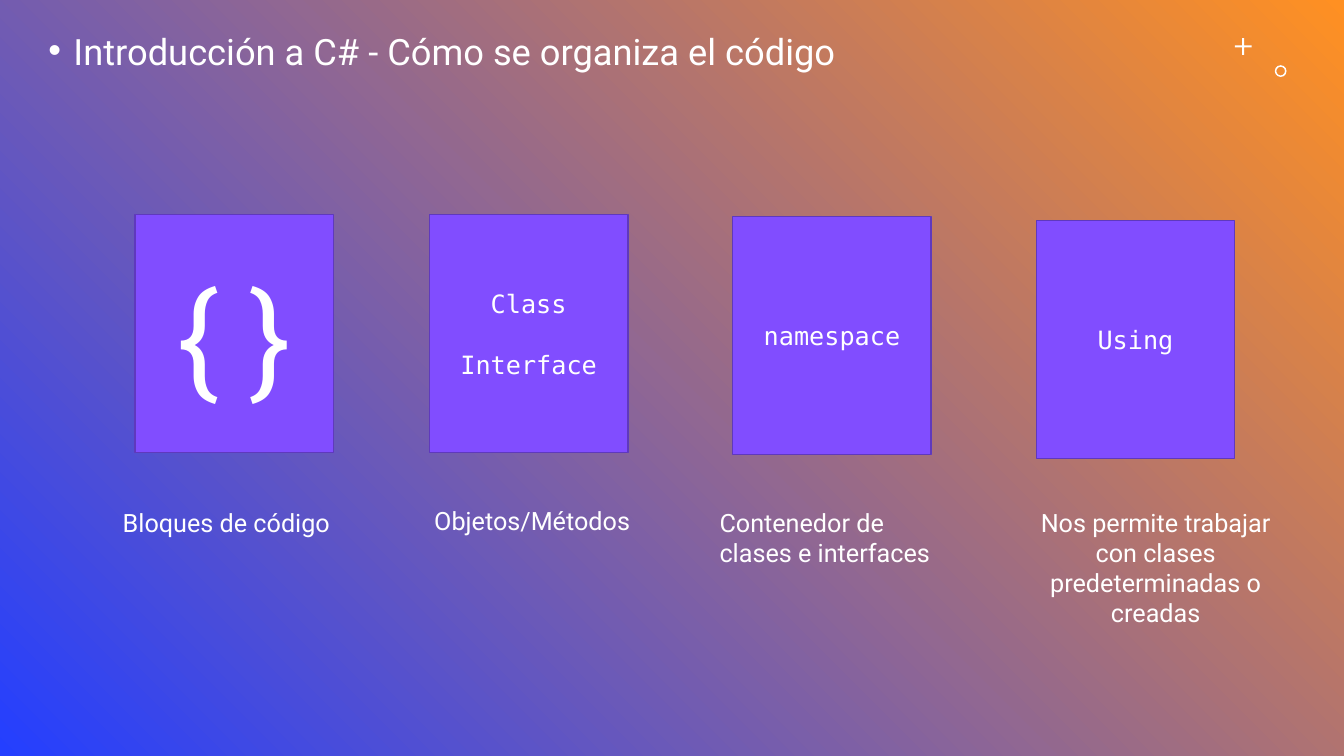
from pptx import Presentation
from pptx.dml.color import RGBColor
from pptx.enum.shapes import MSO_SHAPE
from pptx.enum.text import MSO_ANCHOR, PP_ALIGN
from pptx.util import Pt
from lxml.etree import SubElement
from pptx.oxml.ns import qn

BLUE = RGBColor(0x24, 0x3F, 0xFF)
ORANGE = RGBColor(0xFF, 0x90, 0x22)
PURPLE = RGBColor(0x81, 0x4D, 0xFF)
EDGE = RGBColor(0x5F, 0x39, 0xBD)
WHITE = RGBColor(0xFF, 0xFF, 0xFF)
SANS = "Roboto"
MONO = "DejaVu Sans Mono"
LEFT, MID = PP_ALIGN.LEFT, PP_ALIGN.CENTER


def add_block(kind, x, y, w, h, fill):
    shape = slide.shapes.add_shape(kind, Pt(x), Pt(y), Pt(w), Pt(h))
    shape.shadow.inherit = False
    shape.fill.solid()
    shape.fill.fore_color.rgb = fill
    shape.line.fill.background()
    return shape


def style(par, face, size, align):
    par.alignment = align
    par.font.name = face
    par.font.size = Pt(size)
    par.font.color.rgb = WHITE


deck = Presentation()
deck.slide_width, deck.slide_height = Pt(960), Pt(540)
slide = deck.slides.add_slide(deck.slide_layouts[6])

back = slide.background.fill
back.gradient()
back.gradient_angle = 45
for stop, color in zip(back.gradient_stops, (BLUE, ORANGE)):
    stop.color.rgb = color

plus = add_block(MSO_SHAPE.CROSS, 882, 27.2, 12, 12, WHITE)
plus.adjustments[0] = 0.44
ring = add_block(MSO_SHAPE.DONUT, 910.6, 46.6, 8.4, 8.4, WHITE)
ring.adjustments[0] = 0.13

title = slide.shapes.add_textbox(Pt(27.4), Pt(25.9), Pt(723.6), Pt(32.4))
title.text_frame.word_wrap = True
par = title.text_frame.paragraphs[0]
par.text = "Introducción a C# - Cómo se organiza el código"
par.line_spacing = 0.7
props = par._p.get_or_add_pPr()
props.set("marL", str(Pt(18)))
props.set("indent", str(Pt(-18)))
SubElement(props, qn("a:buFont")).set("typeface", "Arial")
SubElement(props, qn("a:buChar")).set("char", "•")
style(par, SANS, 25.9, LEFT)

cards = [
    (96.5, 153.4, ["{ }"], SANS, 88),
    (306.7, 153.4, ["Class", "Interface"], MONO, 18),
    (523.4, 154.8, ["namespace"], MONO, 18),
    (740.2, 157.7, ["Using"], MONO, 18),
]
for x, y, words, face, size in cards:
    card = add_block(MSO_SHAPE.RECTANGLE, x, y, 141.8, 169.9, PURPLE)
    card.line.color.rgb = EDGE
    card.line.width = Pt(1)
    frame = card.text_frame
    frame.vertical_anchor = MSO_ANCHOR.MIDDLE
    frame.text = "\n".join(words)
    for par in frame.paragraphs:
        style(par, face, size, MID)
    for par in frame.paragraphs[1:]:
        par.space_before = Pt(22)

notes = [
    (80.6, 358.6, 174.2, 28.8, "Bloques de código", LEFT),
    (277.9, 357.1, 204.5, 28.8, "Objetos/Métodos", MID),
    (506.9, 358.6, 185, 51.1, "Contenedor de clases e interfaces", LEFT),
    (730.1, 358.6, 190.8, 94.3,
     "Nos permite trabajar con clases predeterminadas o creadas", MID),
]
for x, y, w, h, text, align in notes:
    frame = slide.shapes.add_textbox(Pt(x), Pt(y), Pt(w), Pt(h)).text_frame
    frame.word_wrap = True
    frame.text = text
    style(frame.paragraphs[0], SANS, 18, align)

deck.save("out.pptx")
